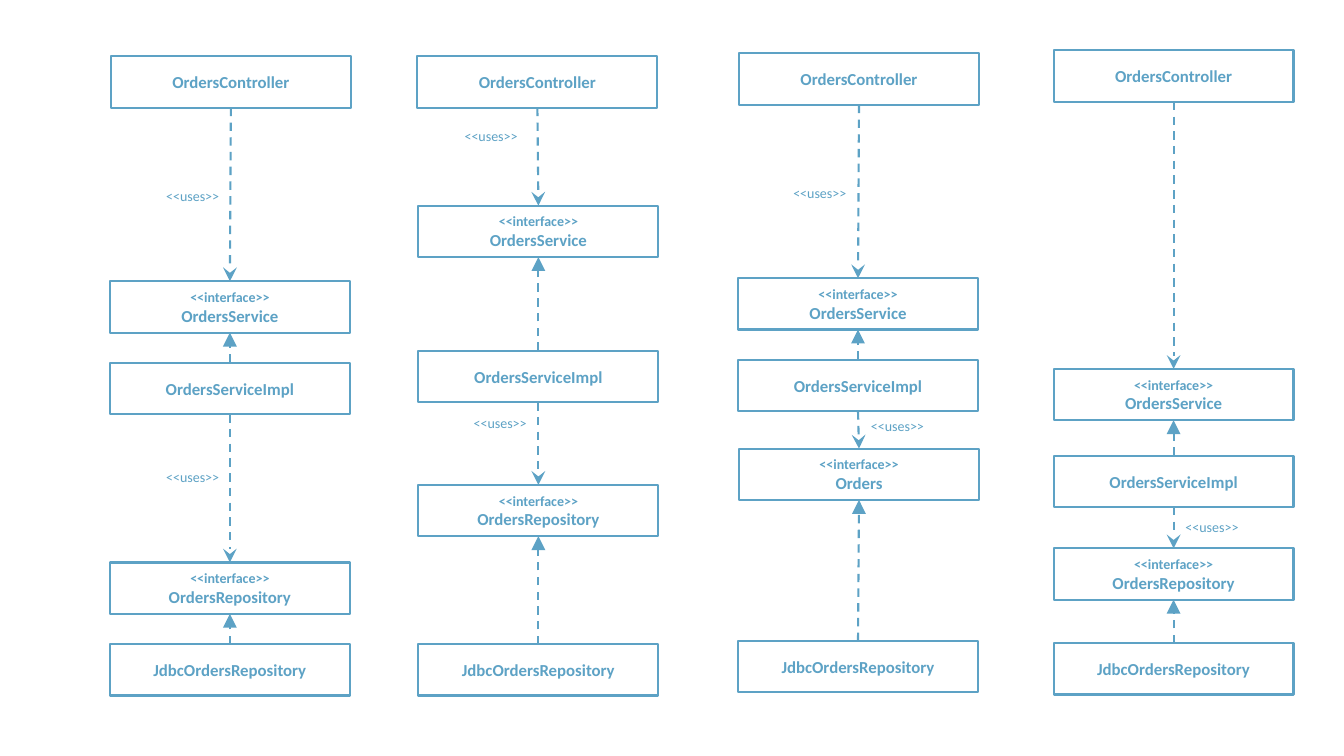
from dataclasses import dataclass

from lxml import etree
from pptx import Presentation
from pptx import util as u
from pptx.dml.color import RGBColor
from pptx.enum import dml, shapes, text
from pptx.oxml.ns import qn


@dataclass(frozen=True)
class Theme:
    font: str = "Calibri"
    blue: RGBColor = RGBColor(0x5D, 0xA2, 0xC5)
    name_size: u.Length = u.Pt(12)
    note_size: u.Length = u.Pt(10)
    line: u.Length = u.Pt(1.5)


@dataclass(frozen=True)
class Box:
    name: str
    left: float
    top: float
    interface: bool = False


@dataclass(frozen=True)
class Label:
    left: float
    top: float


@dataclass(frozen=True)
class Link:
    source: int
    target: int
    head: str


@dataclass(frozen=True)
class Column:
    lefts: tuple[float, ...]
    tops: tuple[float, ...]
    labels: tuple[Label, ...]
    repository: str = "OrdersRepository"

    def boxes(self) -> list[Box]:
        names = ("OrdersController", "OrdersService", "OrdersServiceImpl",
                 self.repository, "JdbcOrdersRepository")
        return [Box(name, left, top, interface=i in (1, 3))
                for i, (name, left, top) in enumerate(zip(names, self.lefts, self.tops))]


THEME = Theme()
BOX_W, BOX_H = 2.38, 0.51
LABEL_W, LABEL_H = 0.73, 0.27
USES, IMPLEMENTS = "stealth", "triangle"

# Every column links its five boxes the same way
LINKS = (Link(0, 1, USES), Link(2, 1, IMPLEMENTS),
         Link(2, 3, USES), Link(4, 3, IMPLEMENTS))

COLUMNS = (
    Column((1.1, 1.09, 1.09, 1.09, 1.09), (0.56, 2.79, 3.6, 5.58, 6.39),
           (Label(1.55, 1.81), Label(1.55, 4.6))),
    Column((4.14, 4.15, 4.15, 4.15, 4.15), (0.56, 2.04, 3.48, 4.81, 6.39),
           (Label(4.51, 1.22), Label(4.6, 4.06))),
    Column((7.33, 7.32, 7.32, 7.33, 7.32), (0.53, 2.76, 3.57, 4.45, 6.36),
           (Label(7.77, 1.78), Label(8.54, 4.09)), repository="Orders"),
    # The last column has one label only, beside its lower arrow
    Column((10.45,) * 5, (0.5, 3.66, 4.52, 5.44, 6.38), (Label(11.66, 5.09),)),
)


def write(p, content: str, *, size: u.Length, bold: bool = False,
          align=text.PP_ALIGN.LEFT) -> None:
    p.alignment = align
    r = p.add_run()
    r.text = content
    r.font.name = THEME.font
    r.font.size = size
    r.font.bold = bold
    r.font.color.rgb = THEME.blue


def draw_box(s, box: Box):
    sp = s.shapes.add_shape(shapes.MSO_SHAPE.RECTANGLE, u.Inches(box.left),
                            u.Inches(box.top), u.Inches(BOX_W), u.Inches(BOX_H))
    sp.shadow.inherit = False
    sp.fill.background()
    sp.line.color.rgb = THEME.blue
    sp.line.width = THEME.line
    tf = sp.text_frame
    tf.word_wrap = True
    tf.vertical_anchor = text.MSO_ANCHOR.MIDDLE
    p = tf.paragraphs[0]
    if box.interface:
        write(p, "<<interface>>", size=THEME.note_size, bold=True,
              align=text.PP_ALIGN.CENTER)
        p = tf.add_paragraph()
    write(p, box.name, size=THEME.name_size, bold=True, align=text.PP_ALIGN.CENTER)
    return sp


def draw_link(s, source, target, head: str) -> None:
    # Rectangle connection sites: 0 is the top centre, 2 the bottom centre
    down = source.top < target.top
    cxn = s.shapes.add_connector(shapes.MSO_CONNECTOR.STRAIGHT, source.left,
                                 source.top, target.left, target.top)
    cxn.begin_connect(source, 2 if down else 0)
    cxn.end_connect(target, 0 if down else 2)
    cxn.line.color.rgb = THEME.blue
    cxn.line.width = THEME.line
    cxn.line.dash_style = dml.MSO_LINE.DASH
    ln = cxn.line._get_or_add_ln()
    etree.SubElement(ln, qn("a:tailEnd"), type=head, w="lg", len="lg")
    etree.SubElement(cxn._element.spPr, qn("a:effectLst"))


def draw_label(s, label: Label) -> None:
    sp = s.shapes.add_textbox(u.Inches(label.left), u.Inches(label.top),
                              u.Inches(LABEL_W), u.Inches(LABEL_H))
    tf = sp.text_frame
    tf.word_wrap = False
    tf.auto_size = text.MSO_AUTO_SIZE.SHAPE_TO_FIT_TEXT
    write(tf.paragraphs[0], "<<uses>>", size=THEME.note_size)


def draw_column(s, column: Column) -> None:
    boxes = [draw_box(s, box) for box in column.boxes()]
    for link in LINKS:
        draw_link(s, boxes[link.source], boxes[link.target], link.head)
    for label in column.labels:
        draw_label(s, label)


def main() -> None:
    prs = Presentation()
    prs.slide_width, prs.slide_height = u.Inches(13.33), u.Inches(7.5)
    s = prs.slides.add_slide(prs.slide_layouts[6])
    for column in COLUMNS:
        draw_column(s, column)
    prs.save("out.pptx")


if __name__ == "__main__":
    main()
